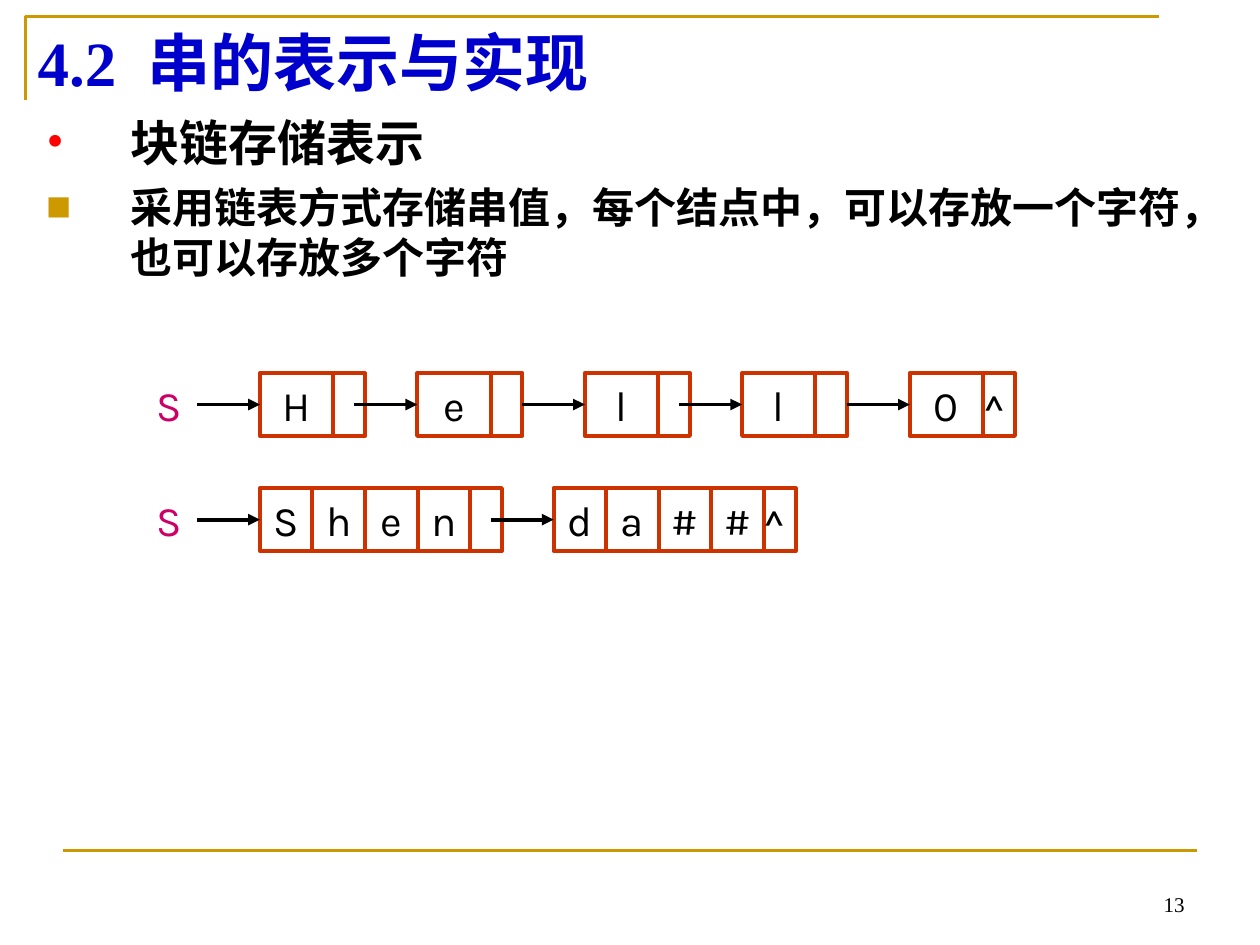
import pptx
import pptx.util
import pptx.dml.color
import pptx.enum.shapes
import pptx.enum.text
import pptx.oxml.ns
from dataclasses import dataclass
from lxml import etree


@dataclass(frozen=True)
class Theme:
    gold: str = "CC9900"
    blue: str = "0000CC"
    red: str = "FF0000"
    pink: str = "CC0066"
    rust: str = "CC3300"
    black: str = "000000"
    serif: str = "Times New Roman"
    sans: str = "Karla"
    han: str = "Noto Sans CJK SC"
    title: int = 36
    head: int = 28
    body: int = 24
    note: int = 12
    rule: float = 1.5
    edge: float = 2.25


T = Theme()
Cm = pptx.util.Cm
Pt = pptx.util.Pt
Align = pptx.enum.text.PP_ALIGN
Anchor = pptx.enum.text.MSO_ANCHOR

# Node sizes in cm
HIGH = 1.27
LINK = 0.64
ARROW = 1.27


def color(code):
    return pptx.dml.color.RGBColor.from_string(code)


def sub(node, tag, **attrs):
    return etree.SubElement(node, pptx.oxml.ns.qn(tag), **attrs)


def add_run(para, text, size, font, tint=T.black, bold=False):
    run = para.add_run()
    run.text = text
    run.font.size = Pt(size)
    run.font.name = font
    run.font.bold = bold
    run.font.color.rgb = color(tint)
    sub(run.font._element, "a:ea", typeface=T.han)
    return run


def set_frame(frame, side=0.25, anchor=Anchor.TOP):
    frame.word_wrap = True
    frame.margin_left = frame.margin_right = Cm(side)
    frame.margin_top = frame.margin_bottom = Cm(0.13)
    frame.vertical_anchor = anchor
    return frame.paragraphs[0]


def add_text(slide, x, y, w, h, anchor=Anchor.TOP):
    box = slide.shapes.add_textbox(Cm(x), Cm(y), Cm(w), Cm(h))
    return box.text_frame, set_frame(box.text_frame, anchor=anchor)


def add_bullet(para, mark, tint, font, scale):
    props = para._p.get_or_add_pPr()
    props.set("marL", str(Cm(1.7)))
    props.set("indent", str(-Cm(1.7)))
    sub(sub(props, "a:buClr"), "a:srgbClr", val=tint)
    sub(props, "a:buSzPct", val=str(scale * 1000))
    sub(props, "a:buFont", typeface=font)
    sub(props, "a:buChar", char=mark)


def add_line(slide, x1, y1, x2, y2, tint, width, head=False):
    line = slide.shapes.add_connector(
        pptx.enum.shapes.MSO_CONNECTOR.STRAIGHT, Cm(x1), Cm(y1), Cm(x2), Cm(y2))
    line.line.color.rgb = color(tint)
    line.line.width = Pt(width)
    if head:
        sub(line.line._get_or_add_ln(), "a:tailEnd", type="triangle")
    sub(line._element.spPr, "a:effectLst")
    return line


def add_cell(slide, x, y, w, text="", side=0.25, align=Align.CENTER):
    cell = slide.shapes.add_shape(
        pptx.enum.shapes.MSO_SHAPE.RECTANGLE, Cm(x), Cm(y), Cm(w), Cm(HIGH))
    cell.shadow.inherit = False
    cell.fill.background()
    cell.line.color.rgb = color(T.rust)
    cell.line.width = Pt(T.edge)
    if text:
        para = set_frame(cell.text_frame, side)
        para.alignment = align
        add_run(para, text, T.body, T.sans)
    return cell


def add_chain(slide, y, nodes, wide, starts):
    """Draw S and its linked nodes; starts holds each node's left edge."""
    para = add_text(slide, 2.9, y, 1.27, HIGH)[1]
    add_run(para, "S", T.body, T.sans, T.pink)
    last = None
    for chars, x in zip(nodes, starts):
        cells = [add_cell(slide, x + i * wide, y, wide, char)
                 for i, char in enumerate(chars)]
        # Arrow into the node, joined to the link cell it starts at
        mid = y + HIGH / 2
        arrow = add_line(slide, x - ARROW, mid, x, mid, T.black, T.edge, True)
        if last and abs(last.left + last.width - Cm(x - ARROW)) < Cm(0.1):
            arrow.begin_connect(last, 3)
        arrow.end_connect(cells[0], 1)
        # Link cell, with the end mark in the last node
        end = "^" if x == starts[-1] else ""
        last = add_cell(slide, x + len(chars) * wide, y, LINK, end, 0, Align.LEFT)


def add_frame(slide):
    # Corner rule around the title, and the footer rule
    pen = slide.shapes.build_freeform(Cm(0.51), Cm(2.01))
    pen.add_line_segments([(Cm(0.51), Cm(0.33)), (Cm(23.37), Cm(0.33))], close=False)
    corner = pen.convert_to_shape()
    corner.shadow.inherit = False
    corner.fill.background()
    corner.line.color.rgb = color(T.gold)
    corner.line.width = Pt(T.rule)
    add_line(slide, 1.27, 17.14, 24.13, 17.14, T.gold, T.rule)

    # Page number
    para = add_text(slide, 18.21, 17.35, 5.92, 1.27, Anchor.BOTTOM)[1]
    para.alignment = Align.RIGHT
    add_run(para, "13", T.note, T.serif)


def add_words(slide):
    # Title, with a wider gap after the section number
    para = add_text(slide, 0.51, 0.33, 22.86, 1.8, Anchor.MIDDLE)[1]
    add_run(para, "4.2", T.title, T.serif, T.blue, True)
    gap = add_run(para, " ", T.title, T.serif, T.blue, True)
    gap.font._element.set("spc", "900")
    add_run(para, "串的表示与实现", T.title, T.serif, T.blue, True)

    # Bulleted text
    frame, para = add_text(slide, 0.69, 2.13, 23.6, 14.4)
    para.space_before = Pt(7)
    add_bullet(para, "•", T.red, T.serif, 100)
    add_run(para, "块链存储表示", T.head, T.han, bold=True)
    para = frame.add_paragraph()
    para.space_before = Pt(6)
    add_bullet(para, "■", T.gold, T.han, 60)
    add_run(para, "采用链表方式存储串值，每个结点中，可以存放一个字符，也可以存放多个字符",
            T.body, T.han, bold=True)


def main():
    deck = pptx.Presentation()
    deck.slide_width, deck.slide_height = Cm(25.4), Cm(19.05)
    slide = deck.slides.add_slide(deck.slide_layouts[6])
    add_frame(slide)
    add_words(slide)
    add_chain(slide, 7.52, ["H", "e", "l", "l", "0"], 1.48,
              [5.24, 8.41, 11.79, 14.96, 18.34])
    add_chain(slide, 9.84, ["Shen", "da##"], 1.06, [5.24, 11.16])
    deck.save("out.pptx")


if __name__ == "__main__":
    main()
